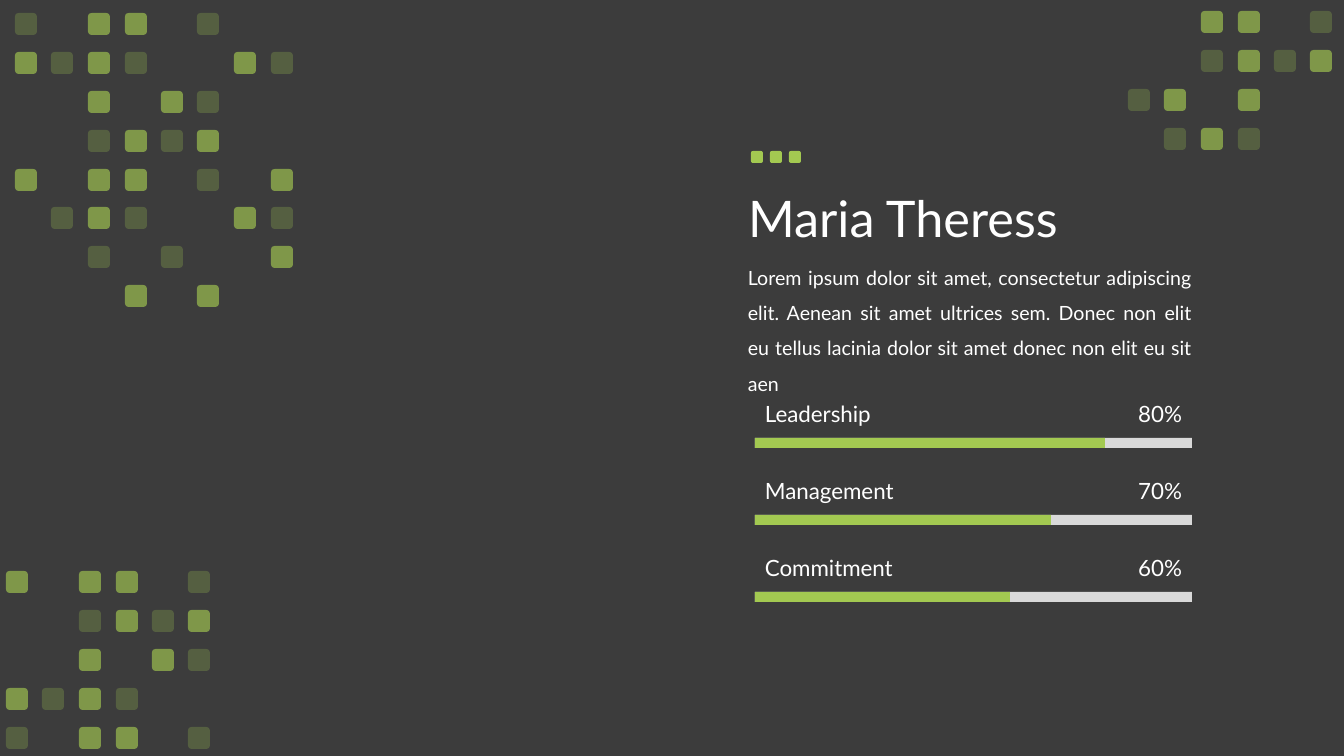
"""Build a profile slide with three skill bars and clusters of green squares."""
from lxml.etree import SubElement
from pptx import Presentation
from pptx.dml.color import RGBColor
from pptx.enum.shapes import MSO_SHAPE
from pptx.enum.text import MSO_ANCHOR, MSO_AUTO_SIZE, PP_ALIGN
from pptx.oxml.ns import qn
from pptx.util import Pt

PIXEL = 12192000 / 1344
BACKGROUND, GREEN, GREY, WHITE = "3C3C3C", "A3C951", "D9D9D9", "FFFFFF"
OPACITY = {"#": 65, "o": 25}


def add_block(shapes, kind, box, colour, opacity=100):
    shape = shapes.add_shape(kind, *[round(length * PIXEL) for length in box])
    shape.shadow.inherit = False
    shape.fill.solid()
    shape.fill.fore_color.rgb = RGBColor.from_string(colour)
    shape.line.fill.background()
    if opacity < 100:
        colour_element = shape._element.spPr.find(".//" + qn("a:srgbClr"))
        SubElement(colour_element, qn("a:alpha"), val=str(opacity * 1000))


def write_text(shape, text, size, frame_format, paragraph_format):
    frame = shape.text_frame
    frame.text = text
    paragraph = frame.paragraphs[0]
    font_format = {"name": "Lato", "size": Pt(size)}
    for target, values in (
        (frame, {"word_wrap": True, **frame_format}),
        (paragraph, paragraph_format),
        (paragraph.runs[0].font, font_format),
    ):
        for name, value in values.items():
            setattr(target, name, value)
    paragraph.runs[0].font.color.rgb = RGBColor.from_string(WHITE)


presentation = Presentation()
presentation.slide_width = round(1344 * PIXEL)
presentation.slide_height = round(756 * PIXEL)
slide = presentation.slides.add_slide(presentation.slide_layouts[5])
slide.background.fill.solid()
slide.background.fill.fore_color.rgb = RGBColor.from_string(BACKGROUND)

clusters = [
    (6, 571, ["#.##.o", "..o#o#", "..#.#o", "#o#o", "o.##.o"]),
    (15, 13, ["o.##.o", "#o#o..#o", "..#.#o", "..o#o#",
              "#.##.o.#", ".o#o..#o", "..o.o..#", "...#.#"]),
    (1128, 11, ["..##.o", "..o#o#", "o#.#", ".o#o"]),
]
for left, top, rows in clusters:
    cluster = slide.shapes.add_group_shape()
    for row, marks in enumerate(rows):
        for column, mark in enumerate(marks):
            if mark in OPACITY:
                box = (left + round(column * 36.5), top + round(row * 38.9), 22, 22)
                add_block(cluster.shapes, MSO_SHAPE.ROUNDED_RECTANGLE, box,
                          GREEN, OPACITY[mark])

accent = slide.shapes.add_group_shape()
for index in range(3):
    add_block(accent.shapes, MSO_SHAPE.ROUNDED_RECTANGLE,
              (751 + 19 * index, 151, 12, 12), GREEN)

title = slide.shapes.title
title_box = {"left": 738, "top": 148, "width": 590, "height": 146}
for name, length in title_box.items():
    setattr(title, name, round(length * PIXEL))
write_text(title, "Maria Theress", 36,
           {"vertical_anchor": MSO_ANCHOR.MIDDLE, "auto_size": MSO_AUTO_SIZE.NONE},
           {"alignment": PP_ALIGN.LEFT, "line_spacing": 0.9})

biography = slide.shapes.add_textbox(
    *[round(length * PIXEL) for length in (738, 249, 464, 112)])
write_text(
    biography,
    "Lorem ipsum dolor sit amet, consectetur adipiscing elit. Aenean sit amet "
    "ultrices sem. Donec non elit eu tellus lacinia dolor sit amet donec non "
    "elit eu sit aen",
    14,
    {"auto_size": MSO_AUTO_SIZE.SHAPE_TO_FIT_TEXT},
    {"alignment": PP_ALIGN.JUSTIFY, "line_spacing": 1.5},
)

skills = [("Leadership", "80%", 350), ("Management", "70%", 296),
          ("Commitment", "60%", 255)]
for index, (skill, percent, filled) in enumerate(skills):
    top = 395 + 77 * index
    for width, colour in ((437, GREY), (filled, GREEN)):
        add_block(slide.shapes, MSO_SHAPE.RECTANGLE,
                  (755, top + 43, width, 10), colour)
    for text, left, width, alignment in (
        (skill, 755, 209, PP_ALIGN.LEFT),
        (percent, 1085, 107, PP_ALIGN.RIGHT),
    ):
        label = slide.shapes.add_textbox(
            *[round(length * PIXEL) for length in (left, top, width, 37)])
        write_text(label, text, 16,
                   {"vertical_anchor": MSO_ANCHOR.MIDDLE,
                    "auto_size": MSO_AUTO_SIZE.SHAPE_TO_FIT_TEXT},
                   {"alignment": alignment})

presentation.save("out.pptx")
